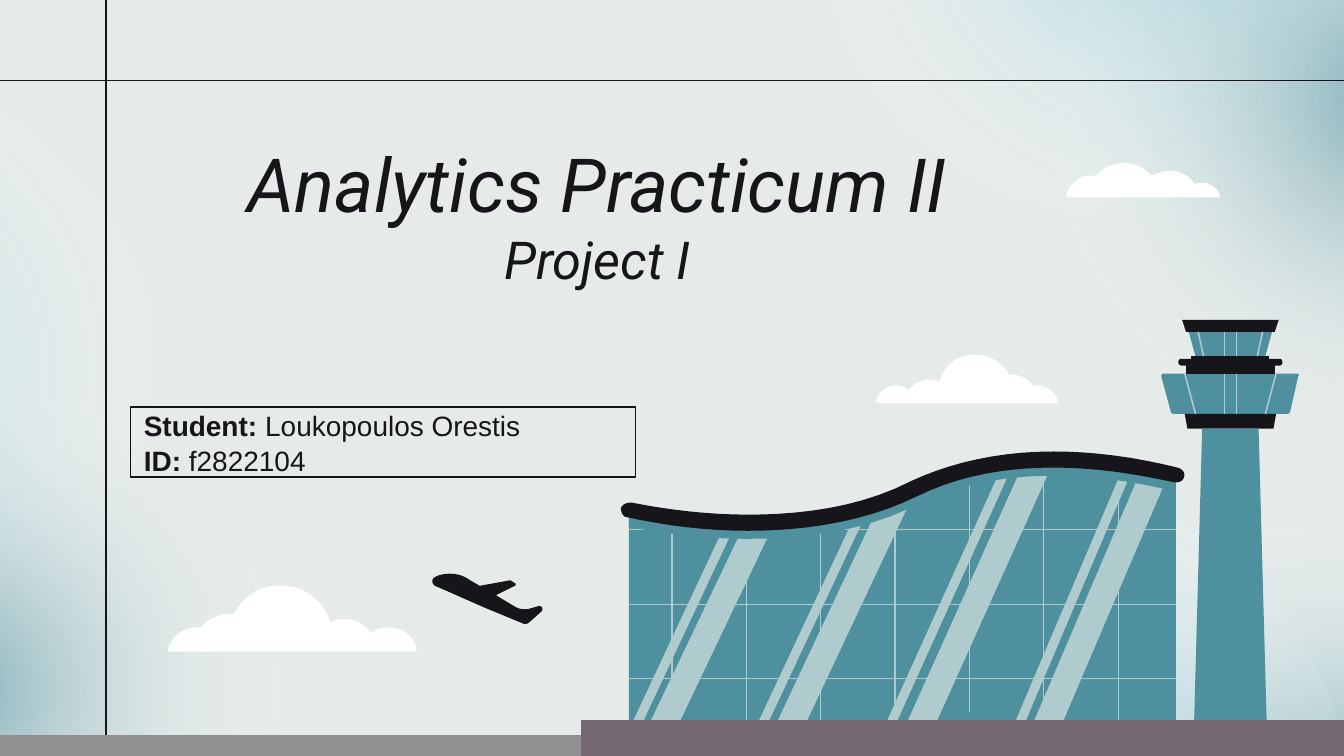
from dataclasses import dataclass

from lxml import etree
from pptx import Presentation
from pptx import util as u
from pptx.dml.color import RGBColor
from pptx.enum import shapes, text
from pptx.oxml import ns

INK, TEAL, GLASS, WHITE = "161519", "4E909E", "B0CBCE", "FFFFFF"
SKY, GROUND, APRON, MIST = "E6EBE9", "918F8F", "736871", "80C8D8"
TOWER_X = 9.155

# Outline steps: (x, y) is a corner, six numbers are a Bézier curve; all in inches.
CLOUDS = [
    [(2.89, 4.67), (2.85, 4.67, 2.8, 4.68, 2.76, 4.71), (2.69, 4.61, 2.56, 4.58, 2.46, 4.63),
     (2.41, 4.48, 2.28, 4.37, 2.12, 4.36), (1.96, 4.34, 1.81, 4.43, 1.74, 4.57),
     (1.64, 4.56, 1.54, 4.61, 1.49, 4.67), (1.36, 4.66, 1.25, 4.75, 1.25, 4.85),
     (3.1, 4.85), (3.1, 4.75, 3.01, 4.67, 2.89, 4.67)],
    [(6.67, 2.87), (6.7, 2.87, 6.73, 2.88, 6.76, 2.9), (6.8, 2.85, 6.88, 2.8, 6.99, 2.84),
     (7.02, 2.73, 7.11, 2.65, 7.23, 2.64), (7.34, 2.63, 7.46, 2.69, 7.51, 2.79),
     (7.58, 2.78, 7.65, 2.82, 7.69, 2.87), (7.78, 2.86, 7.87, 2.92, 7.87, 3),
     (6.52, 3), (6.52, 2.92, 6.59, 2.87, 6.67, 2.87)],
    [(9.08, 1.47), (7.93, 1.47), (7.95, 1.36, 8.05, 1.29, 8.15, 1.31),
     (8.26, 1.18, 8.46, 1.18, 8.57, 1.31), (8.68, 1.24, 8.83, 1.27, 8.89, 1.37),
     (8.97, 1.34, 9.06, 1.38, 9.08, 1.47)],
]
WALL = [(4.68, 3.8), (4.68, 5.38), (8.75, 5.38), (8.75, 3.54),
        (8.36, 3.44, 7.51, 3.29, 6.81, 3.64), (5.98, 4.04, 4.93, 3.85, 4.68, 3.8)]
TRIM = [(7.84, 3.43), (8.22, 3.43, 8.55, 3.49, 8.75, 3.54), (8.75, 3.66),
        (8.55, 3.61, 8.22, 3.54, 7.84, 3.54), (7.52, 3.54, 7.16, 3.59, 6.83, 3.75),
        (6.49, 3.93, 6.06, 4.01, 5.57, 4.01), (5.24, 4.01, 4.96, 3.98, 4.68, 3.92),
        (4.68, 3.8), (4.8, 3.83, 5.15, 3.9, 5.57, 3.9),
        (5.95, 3.9, 6.39, 3.84, 6.78, 3.65), (7.08, 3.5, 7.44, 3.43, 7.84, 3.43)]
ROOF = [(7.84, 3.36), (8.22, 3.36, 8.56, 3.43, 8.76, 3.48), (8.8, 3.49, 8.82, 3.52, 8.81, 3.55),
        (8.8, 3.58, 8.78, 3.59, 8.74, 3.59), (8.55, 3.55, 8.22, 3.48, 7.84, 3.48),
        (7.51, 3.48, 7.16, 3.53, 6.83, 3.69), (6.49, 3.86, 6.06, 3.95, 5.57, 3.95),
        (5.24, 3.95, 4.95, 3.91, 4.67, 3.85), (4.64, 3.85, 4.62, 3.82, 4.62, 3.78),
        (4.63, 3.76, 4.65, 3.74, 4.7, 3.74), (4.8, 3.76, 5.15, 3.83, 5.57, 3.83),
        (5.95, 3.83, 6.39, 3.78, 6.78, 3.58), (7.08, 3.44, 7.44, 3.36, 7.84, 3.36)]
DECK = [(8.73, 3.08), (9.58, 3.08), (9.59, 3.08, 9.6, 3.07, 9.6, 3.06), (9.66, 2.8),
        (9.67, 2.79, 9.66, 2.78, 9.65, 2.78), (8.66, 2.78),
        (8.65, 2.78, 8.64, 2.79, 8.64, 2.8), (8.71, 3.06), (8.71, 3.07, 8.72, 3.08, 8.73, 3.08)]
LEDGE = [(9.52, 2.67), (9.55, 2.67, 9.55, 2.72, 9.52, 2.72), (8.79, 2.72),
         (8.76, 2.72, 8.76, 2.67, 8.79, 2.67)]
PLANE = [(3.35, 4.27), (3.41, 4.27, 3.46, 4.29, 3.5, 4.32), (3.57, 4.36), (3.79, 4.32),
         (3.8, 4.32), (3.83, 4.34), (3.84, 4.34, 3.84, 4.36, 3.83, 4.36), (3.69, 4.43),
         (3.84, 4.52), (3.86, 4.53, 3.9, 4.54, 3.94, 4.53), (4.01, 4.51),
         (4.04, 4.51, 4.04, 4.54, 4.03, 4.55), (3.94, 4.63),
         (3.93, 4.64, 3.91, 4.65, 3.89, 4.64), (3.6, 4.52), (3.26, 4.37),
         (3.22, 4.36, 3.21, 4.33, 3.22, 4.31), (3.24, 4.28, 3.31, 4.27, 3.35, 4.27)]


@dataclass
class Glow:
    left: float
    top: float
    rotation: float
    color: str
    opacity: int = 68


@dataclass
class Band:
    """Tower storey, symmetric about the tower's axis."""
    top: float
    bottom: float
    half_top: float
    half_bottom: float
    color: str = INK


@dataclass
class Streak:
    left: float
    bottom: float
    top: float
    lean: float
    width: float


GLOWS = [Glow(7.31, 4.07, 237.1, TEAL, 81), Glow(5.1, 3.68, 237.1, MIST),
         Glow(-3.95, 0.41, 202, MIST), Glow(-3.01, 2.84, 202, TEAL),
         Glow(6.04, -3.08, 149, MIST), Glow(7.77, -1.57, 149, TEAL)]
BANDS = [Band(3.08, 3.19, 0.34, 0.32), Band(3.19, 5.38, 0.21, 0.27, TEAL),
         Band(2.72, 2.78, 0.33, 0.33), Band(2.47, 2.65, 0.31, 0.26, TEAL),
         Band(2.38, 2.47, 0.36, 0.33), Band(2.65, 2.7, 0.29, 0.29)]
STREAKS = [Streak(7.68, 5.4, 3.43, 0.84, 0.2), Streak(7.55, 5.38, 3.4, 0.84, 0.07),
           Streak(6.72, 5.44, 3.46, 0.89, 0.2), Streak(6.58, 5.41, 3.44, 0.89, 0.07),
           Streak(5.67, 5.61, 3.74, 0.88, 0.2), Streak(5.54, 5.59, 3.82, 0.83, 0.07),
           Streak(4.73, 5.6, 3.86, 0.83, 0.2), Streak(4.61, 5.58, 3.83, 0.82, 0.07)]
MULLIONS = [(3.85, 5.57), (3.85, 5.57), (3.81, 5.52), (3.71, 5.43),
            (3.58, 5.3), (3.51, 5.88), (3.54, 5.63)]


def length(inches: float) -> u.Length:
    return u.Cm(inches * 2.54)


def color(hex_code: str) -> RGBColor:
    return RGBColor.from_string(hex_code)


def flatten(steps: list, pieces: int = 10) -> list:
    """Turn corners and Bézier curves into EMU points."""
    points = [steps[0]]
    for step in steps[1:]:
        if len(step) == 2:
            points.append(step)
            continue
        controls = [points[-1], step[:2], step[2:4], step[4:]]
        for t in (i / pieces for i in range(1, pieces + 1)):
            weights = ((1 - t) ** 3, 3 * t * (1 - t) ** 2, 3 * t * t * (1 - t), t ** 3)
            points.append(tuple(sum(w * c[axis] for w, c in zip(weights, controls))
                                for axis in (0, 1)))
    return [(length(x), length(y)) for x, y in points]


def draw_outline(target, steps: list, fill: str) -> None:
    start, *rest = flatten(steps)
    builder = target.build_freeform(*start)
    builder.add_line_segments(rest, close=True)
    shape = builder.convert_to_shape()
    shape.shadow.inherit = False
    shape.fill.solid()
    shape.fill.fore_color.rgb = color(fill)
    shape.line.fill.background()


def draw_line(target, start: tuple, end: tuple, stroke: str, points: float) -> None:
    line = target.add_connector(shapes.MSO_CONNECTOR.STRAIGHT, *map(length, start + end))
    line.line.color.rgb = color(stroke)
    line.line.width = u.Pt(points)
    etree.SubElement(line.element.spPr, ns.qn("a:effectLst"))


def draw_glow(target, glow: Glow) -> None:
    shape = target.add_shape(shapes.MSO_SHAPE.OVAL, *map(length, (glow.left, glow.top, 5.22, 4.6)))
    shape.rotation = glow.rotation
    shape.shadow.inherit = False
    shape.line.fill.background()
    shape.fill.gradient()
    gradient = shape.element.spPr.find(ns.qn("a:gradFill"))
    for child in list(gradient):
        gradient.remove(child)
    stops = etree.SubElement(gradient, ns.qn("a:gsLst"))
    for position, tint, opacity in ((0, glow.color, glow.opacity), (58, WHITE, 0), (100, WHITE, 0)):
        stop = etree.SubElement(stops, ns.qn("a:gs"), pos=str(position * 1000))
        tone = etree.SubElement(stop, ns.qn("a:srgbClr"), val=tint)
        etree.SubElement(tone, ns.qn("a:alpha"), val=str(opacity * 1000))
    radial = etree.SubElement(gradient, ns.qn("a:path"), path="circle")
    etree.SubElement(radial, ns.qn("a:fillToRect"), l="50000", t="50000", r="50000", b="50000")


def draw_tower(target) -> None:
    draw_outline(target, DECK, TEAL)
    for band in BANDS:
        draw_outline(target, [(TOWER_X - band.half_top, band.top), (TOWER_X + band.half_top, band.top),
                              (TOWER_X + band.half_bottom, band.bottom),
                              (TOWER_X - band.half_bottom, band.bottom)], band.color)
    draw_outline(target, LEDGE, INK)
    for top, bottom, outer_top, outer_bottom in ((2.47, 2.65, 0.24, 0.2), (2.78, 3.08, 0.34, 0.26)):
        for upper, lower in ((outer_top, outer_bottom), (0.045, 0.045)):
            for side in (-1, 1):
                draw_line(target, (TOWER_X + side * upper, top),
                          (TOWER_X + side * lower, bottom), GLASS, 0.83)


def draw_terminal(target) -> None:
    draw_outline(target, WALL, TEAL)
    for s in STREAKS:
        drop = s.width / 5
        draw_outline(target, [(s.left, s.bottom), (s.left + s.width, s.bottom + drop),
                              (s.left + s.lean + s.width, s.top + drop),
                              (s.left + s.lean, s.top)], GLASS)
    for i, (top, bottom) in enumerate(MULLIONS):
        x = 5 + 0.5533 * i
        draw_line(target, (x, top), (x, bottom), GLASS, 0.67)
    for y in (5.05, 4.5, 3.94):
        draw_line(target, (4.68, y), (8.75, y), GLASS, 0.67)
    draw_outline(target, [(4.32, 5.36), (10, 5.36), (10, 5.65), (4.32, 5.65)], APRON)
    draw_outline(target, TRIM, TEAL)
    draw_outline(target, ROOF, INK)


def prepare(placeholder, box: tuple):
    """Place a placeholder above the backdrop and return its text frame."""
    placeholder.left, placeholder.top, placeholder.width, placeholder.height = map(length, box)
    placeholder.element.getparent().append(placeholder.element)
    frame = placeholder.text_frame
    frame.word_wrap = True
    frame.auto_size = text.MSO_AUTO_SIZE.NONE
    frame.vertical_anchor = text.MSO_ANCHOR.MIDDLE
    frame.margin_left = frame.margin_right = frame.margin_top = frame.margin_bottom = length(0.1)
    return frame


def style(font, name: str, size: float) -> None:
    font.name, font.size, font.color.rgb = name, u.Pt(size), color(INK)


def write_title(placeholder) -> None:
    paragraph = prepare(placeholder, (1.01, 0.82, 6.87, 1.54)).paragraphs[0]
    paragraph.alignment = text.PP_ALIGN.CENTER
    paragraph.space_after = u.Pt(2)
    for i, (words, size) in enumerate((("Analytics Practicum II", 40), ("Project I", 28))):
        if i:
            paragraph.add_line_break()
        run = paragraph.add_run()
        run.text = words
        style(run.font, "Roboto", size)
        run.font.italic = True


def write_student(placeholder) -> None:
    frame = prepare(placeholder, (0.97, 3.03, 3.76, 0.52))
    placeholder.line.color.rgb = color(INK)
    placeholder.line.width = u.Pt(0.75)
    for i, (label, value) in enumerate((("Student: ", "Loukopoulos Orestis"), ("ID: ", "f2822104"))):
        paragraph = frame.add_paragraph() if i else frame.paragraphs[0]
        paragraph.alignment = text.PP_ALIGN.LEFT
        paragraph.space_before = u.Pt(0)
        paragraph.line_spacing = 1.05
        style(paragraph.font, "Arial", 15)
        for words, bold in ((label, True), (value, False)):
            run = paragraph.add_run()
            run.text = words
            style(run.font, "Arial", 15)
            run.font.bold = bold


def main() -> None:
    presentation = Presentation()
    presentation.slide_width, presentation.slide_height = u.Cm(25.4), u.Cm(14.29)
    slide = presentation.slides.add_slide(presentation.slide_layouts[0])
    slide.background.fill.solid()
    slide.background.fill.fore_color.rgb = color(SKY)
    for glow in GLOWS:
        draw_glow(slide.shapes, glow)
    draw_line(slide.shapes, (0.79, -0.32), (0.79, 6.25), INK, 0.75)
    draw_line(slide.shapes, (-0.05, 0.6), (10.06, 0.6), INK, 0.75)
    for cloud in CLOUDS:
        draw_outline(slide.shapes, cloud, WHITE)
    draw_outline(slide.shapes, [(-0.05, 5.47), (10, 5.47), (10, 5.65), (-0.05, 5.65)], GROUND)
    write_title(slide.shapes.title)
    write_student(slide.placeholders[1])
    airport = slide.shapes.add_group_shape().shapes
    draw_tower(airport)
    draw_terminal(airport)
    draw_outline(slide.shapes, PLANE, INK)
    presentation.save("out.pptx")


if __name__ == "__main__":
    main()
